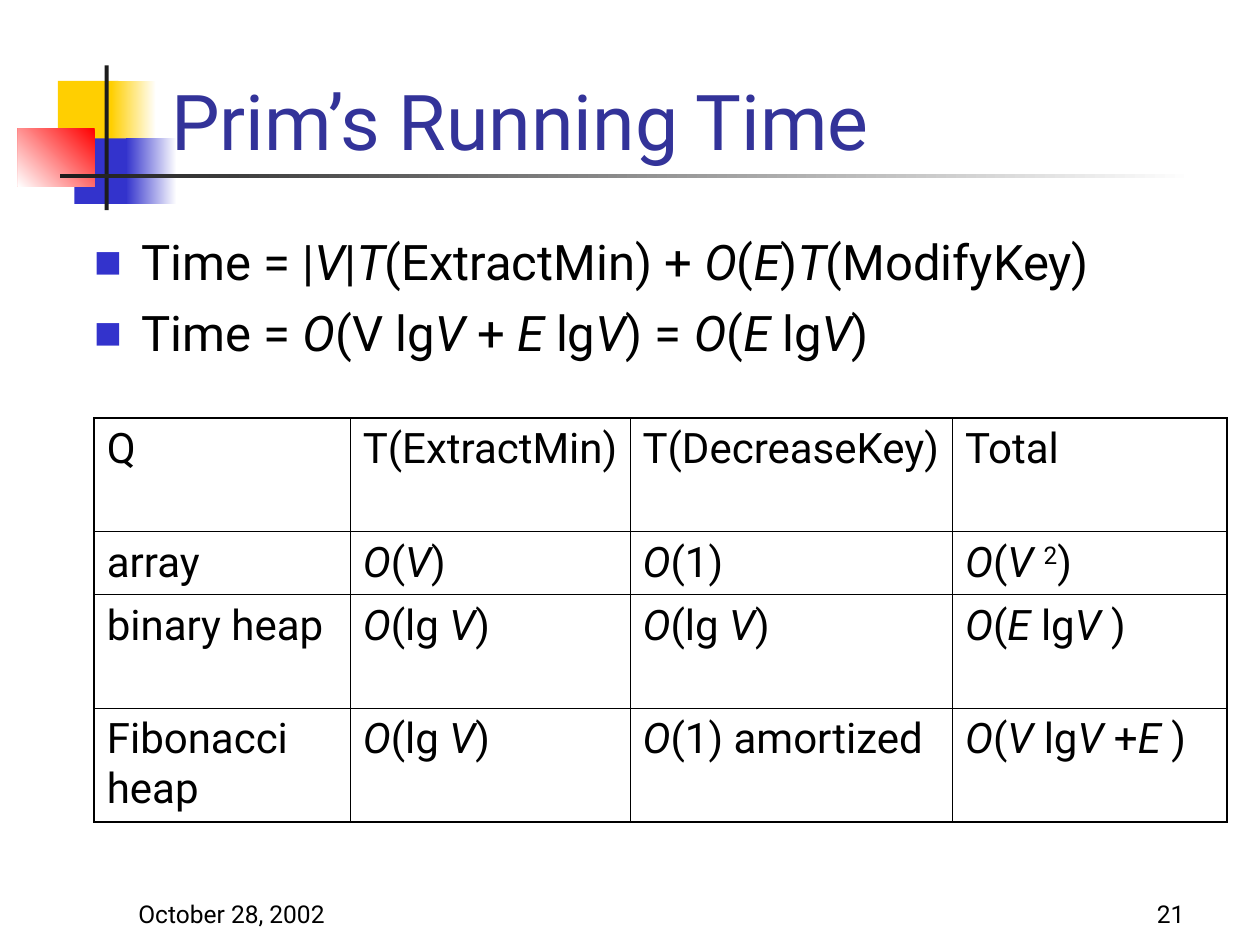
from lxml import etree
from pptx import Presentation
from pptx.dml.color import RGBColor
from pptx.enum.shapes import MSO_SHAPE
from pptx.enum.text import MSO_ANCHOR, PP_ALIGN
from pptx.oxml.ns import qn
from pptx.util import Cm, Pt

RECT = MSO_SHAPE.RECTANGLE
TOP, BOTTOM = MSO_ANCHOR.TOP, MSO_ANCHOR.BOTTOM
LEFT, RIGHT = PP_ALIGN.LEFT, PP_ALIGN.RIGHT
FONT = "Roboto"
BLACK, WHITE, DARK = "000000", "FFFFFF", "1C1C1C"
YELLOW, BLUE, RED, NAVY = "FFCF01", "3333CC", "FF0000", "333399"

# Content: *...* is italic, ^...^ is superscript
TITLE = "Prim’s Running Time"
BULLETS = [
    "Time = |*V*|*T*(ExtractMin) + *O*(*E*)*T*(ModifyKey)",
    "Time = *O*(V lg*V *+ *E *lg*V*) = *O*(*E *lg*V*)",
]
ROWS = [
    ["Q", "T(ExtractMin)", "T(DecreaseKey)", "Total"],
    ["array", "*O*(*V*)", "*O*(1)", "*O*(*V *^2^)"],
    ["binary heap", "*O*(lg* V*)", "*O*(lg *V*)", "*O*(*E* lg*V* )"],
    ["Fibonacci heap", "*O*(lg* V*)", "*O*(1) amortized", "*O*(*V* lg*V* +*E *)"],
]
COL_WIDTHS = [5.16, 5.64, 6.5, 5.54]
ROW_HEIGHTS = [2.29, 1.27, 2.29, 2.29]
# Decoration: box in cm, gradient start and end (or one colour), angle
DECOR = [
    ((1.17, 1.63, 1.22, 1.32), [YELLOW], 0),
    ((2.24, 1.63, 0.91, 1.32), [WHITE, YELLOW], 180),
    ((1.5, 2.79, 1.17, 1.32), [BLUE], 0),
    ((2.54, 2.79, 1.02, 1.32), [WHITE, BLUE], 180),
    ((0.36, 2.59, 1.55, 1.17), [RED, WHITE], 225),
    ((2.11, 1.32, 0.08, 2.92), [DARK], 0),
    ((1.22, 3.51, 22.86, 0.08), [WHITE, DARK], 180),
]
FOOTERS = [(18.85, "21", RIGHT), (2.54, "October 28, 2002", LEFT)]


def rgb(value):
    return RGBColor.from_string(value)


def add_text(p, text, size=24, color=BLACK, align=LEFT, before=0):
    p.alignment = align
    p.space_before = Pt(before)
    for i, part in enumerate(text.split("*")):
        for j, piece in enumerate(part.split("^")):
            if not piece:
                continue
            r = p.add_run()
            r.text = piece
            r.font.name, r.font.size = FONT, Pt(size)
            r.font.italic = i % 2 == 1
            r.font.color.rgb = rgb(color)
            if j % 2:
                r.font._element.set("baseline", "30000")


def add_box(s, box, anchor=TOP):
    tf = s.shapes.add_textbox(*map(Cm, box)).text_frame
    tf.word_wrap = True
    tf.vertical_anchor = anchor
    return tf


def add_bullet(p):
    pPr = p._p.get_or_add_pPr()
    pPr.set("marL", str(Cm(0.95)))
    pPr.set("indent", str(Cm(-0.95)))
    clr = etree.SubElement(pPr, qn("a:buClr"))
    etree.SubElement(clr, qn("a:srgbClr"), val=BLUE)
    etree.SubElement(pPr, qn("a:buSzPct"), val="60000")
    etree.SubElement(pPr, qn("a:buFont"), typeface=FONT)
    etree.SubElement(pPr, qn("a:buChar"), char="■")


def set_borders(cell, outer):
    tcPr = cell._tc.get_or_add_tcPr()
    for i, side in enumerate("LRTB"):
        ln = etree.Element(qn(f"a:ln{side}"), w=str(Pt(1.08 if side in outer else 0.45)))
        fill = etree.SubElement(ln, qn("a:solidFill"))
        etree.SubElement(fill, qn("a:srgbClr"), val=BLACK)
        tcPr.insert(i, ln)


prs = Presentation()
prs.slide_width, prs.slide_height = Cm(25.4), Cm(19.05)
s = prs.slides.add_slide(prs.slide_layouts[6])

# Corner decoration and title rule
for box, colors, angle in DECOR:
    sp = s.shapes.add_shape(RECT, *map(Cm, box))
    sp.shadow.inherit = False
    sp.line.fill.background()
    if len(colors) == 1:
        sp.fill.solid()
        sp.fill.fore_color.rgb = rgb(colors[0])
    else:
        sp.fill.gradient()
        sp.fill.gradient_angle = angle
        for stop, color, position in zip(sp.fill.gradient_stops, colors, (0, 1)):
            stop.color.rgb = rgb(color)
            stop.position = position

# Title
tf = add_box(s, (3.2, 0.28, 21.64, 3.18), BOTTOM)
add_text(tf.paragraphs[0], TITLE, size=44, color=NAVY)

# Bullets
tf = add_box(s, (1.65, 4.55, 23.22, 4.39))
for i, text in enumerate(BULLETS):
    p = tf.add_paragraph() if i else tf.paragraphs[0]
    add_text(p, text, size=28, before=7)
    add_bullet(p)

# Running time table
last_row, last_col = len(ROWS) - 1, len(COL_WIDTHS) - 1
table = s.shapes.add_table(len(ROWS), len(COL_WIDTHS), Cm(1.9), Cm(8.43),
                           Cm(sum(COL_WIDTHS)), Cm(sum(ROW_HEIGHTS))).table
table.first_row = table.horz_banding = False
for column, width in zip(table.columns, COL_WIDTHS):
    column.width = Cm(width)
for i, (row, height) in enumerate(zip(ROWS, ROW_HEIGHTS)):
    table.rows[i].height = Cm(height)
    for j, text in enumerate(row):
        cell = table.cell(i, j)
        cell.fill.background()
        edges = {"L": j == 0, "R": j == last_col, "T": i == 0, "B": i == last_row}
        set_borders(cell, [side for side, outer in edges.items() if outer])
        add_text(cell.text_frame.paragraphs[0], text, before=6)

# Slide number and date
for left, text, align in FOOTERS:
    tf = add_box(s, (left, 17.58, 5.28, 1.27), BOTTOM)
    add_text(tf.paragraphs[0], text, size=14, align=align)

prs.save("out.pptx")
